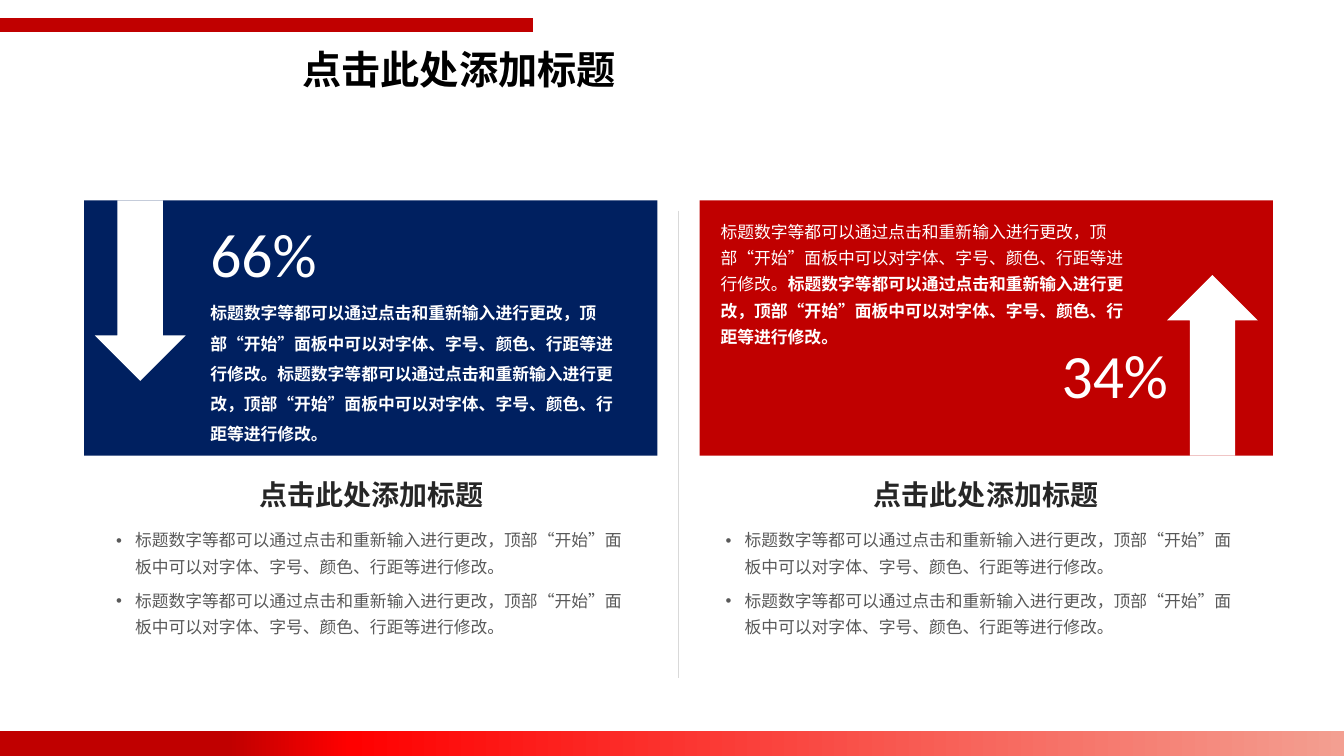
from lxml import etree
from pptx import Presentation
from pptx import util as u
from pptx.dml.color import RGBColor
from pptx.enum import shapes, text
from pptx.oxml import ns

THEME = {
    "navy": "002060", "red": "C00000", "white": "FFFFFF", "black": "000000",
    "heading": "262626", "body": "595959", "rule": "D9D9D9",
    "cjk": "Noto Sans CJK SC", "latin": "Calibri",
    "title_size": 28, "heading_size": 20, "body_size": 12, "figure_size": 44,
}
GRADIENT = [(0, "F39F91"), (74, "FF0000"), (83, "C00000"), (100, "C00000")]
HEADING = "点击此处添加标题"
SENTENCE = "标题数字等都可以通过点击和重新输入进行更改，顶部“开始”面板中可以对字体、字号、颜色、行距等进行修改。"
ALIGN = text.PP_ALIGN


def write(shape, box, paragraphs, size, color, font="cjk", align=ALIGN.LEFT, spacing=1.0, bullet=False):
    """Place a text shape and fill it; each paragraph is a list of (words, bold) runs."""
    shape.left, shape.top, shape.width, shape.height = [u.Cm(length) for length in box]
    frame = shape.text_frame
    frame.word_wrap = True
    frame.auto_size = text.MSO_AUTO_SIZE.SHAPE_TO_FIT_TEXT
    frame.vertical_anchor = text.MSO_ANCHOR.TOP
    for index, runs in enumerate(paragraphs):
        paragraph = frame.add_paragraph() if index else frame.paragraphs[0]
        paragraph.alignment = align
        paragraph.line_spacing = spacing
        paragraph.space_before = u.Pt(6 if index else 0)
        if bullet:
            properties = paragraph._p.get_or_add_pPr()
            properties.set("marL", str(u.Cm(0.48)))
            properties.set("indent", str(-u.Cm(0.48)))
            etree.SubElement(properties, ns.qn("a:buFont"), typeface="Arial")
            etree.SubElement(properties, ns.qn("a:buChar"), char="•")
        for words, bold in runs:
            run = paragraph.add_run()
            run.text = words
            run.font.size = u.Pt(THEME[size])
            run.font.bold = bold
            run.font.color.rgb = RGBColor.from_string(THEME[color])
            run.font.name = THEME[font]
            etree.SubElement(run._r.get_or_add_rPr(), ns.qn("a:ea"), typeface=THEME[font])


def draw(kind, box, color=None):
    """Add a preset shape without outline or shadow."""
    shape = slide.shapes.add_shape(kind, *[u.Cm(length) for length in box])
    shape.shadow.inherit = False
    shape.line.fill.background()
    if color:
        shape.fill.solid()
        shape.fill.fore_color.rgb = RGBColor.from_string(THEME[color])
    return shape


presentation = Presentation()
presentation.slide_width, presentation.slide_height = u.Cm(33.87), u.Cm(19.05)
slide = presentation.slides.add_slide(presentation.slide_layouts.get_by_name("Comparison"))
holders = {holder.placeholder_format.idx: holder for holder in slide.placeholders}
for idx in (10, 11, 12):
    if idx in holders:
        holders[idx].element.getparent().remove(holders[idx].element)

# Title
write(holders[0], (7.37, 1.02, 9.02, 1.45), [[(HEADING, True)]], "title_size", "black")

# Top bar and divider between the columns
for start_x, start_y, end_x, end_y, color, weight in [
    (0, 0.63, 13.44, 0.63, "red", 10),
    (17.09, 5.31, 17.09, 17.09, "rule", 0.5),
]:
    line = slide.shapes.add_connector(
        shapes.MSO_CONNECTOR.STRAIGHT, u.Cm(start_x), u.Cm(start_y), u.Cm(end_x), u.Cm(end_y))
    line.line.color.rgb = RGBColor.from_string(THEME[color])
    line.line.width = u.Pt(weight)
    etree.SubElement(line._element.spPr, ns.qn("a:effectLst"))

# Two columns: panel, arrow, figure, panel text, heading and bullets
columns = [
    dict(panel=2.12, color="navy", arrow=(2.39, 5.05), turn=0,
         figure="66%", figure_at=(5.05, 5.31), align=ALIGN.LEFT,
         note=(5.05, 7.26, 10.97, 4.01), note_runs=[(SENTENCE * 2, True)], spacing=1.5,
         heading=(2.67, 13.39), holders=(1, 2)),
    dict(panel=17.63, color="red", arrow=(29.41, 6.93), turn=180,
         figure="34%", figure_at=(24.33, 8.36), align=ALIGN.RIGHT,
         note=(17.91, 5.31, 10.97, 4.19), note_runs=[(SENTENCE, False), (SENTENCE, True)], spacing=1.3,
         heading=(18.03, 13.64), holders=(3, 4)),
]
for column in columns:
    draw(shapes.MSO_SHAPE.RECTANGLE, (column["panel"], 5.05, 14.45, 6.43), column["color"])
    arrow = draw(shapes.MSO_SHAPE.DOWN_ARROW, (*column["arrow"], 2.29, 4.55), "white")
    arrow.rotation = column["turn"]
    write(slide.shapes.add_textbox(0, 0, 0, 0), (*column["figure_at"], 5.36, 2.87),
          [[(column["figure"], False)]], "figure_size", "white", "latin", column["align"])
    write(slide.shapes.add_textbox(0, 0, 0, 0), column["note"],
          [column["note_runs"]], "body_size", "white", spacing=column["spacing"])
    left, width = column["heading"]
    heading, bullets = [holders[idx] for idx in column["holders"]]
    write(heading, (left, 11.48, width, 1.55), [[(HEADING, True)]],
          "heading_size", "heading", align=ALIGN.CENTER, spacing=1.5)
    write(bullets, (left, 13.08, 13.65, 3.15), [[(SENTENCE, False)]] * 2,
          "body_size", "body", spacing=1.3, bullet=True)

# Gradient footer band
footer = draw(shapes.MSO_SHAPE.RECTANGLE, (0, 18.42, 33.87, 0.74))
footer.fill.gradient()
footer.fill.gradient_angle = 180
stops = footer._element.spPr.find(".//" + ns.qn("a:gsLst"))
for stop in list(stops):
    stops.remove(stop)
for position, color in GRADIENT:
    stop = etree.SubElement(stops, ns.qn("a:gs"), pos=str(position * 1000))
    etree.SubElement(stop, ns.qn("a:srgbClr"), val=color)

presentation.save("out.pptx")
